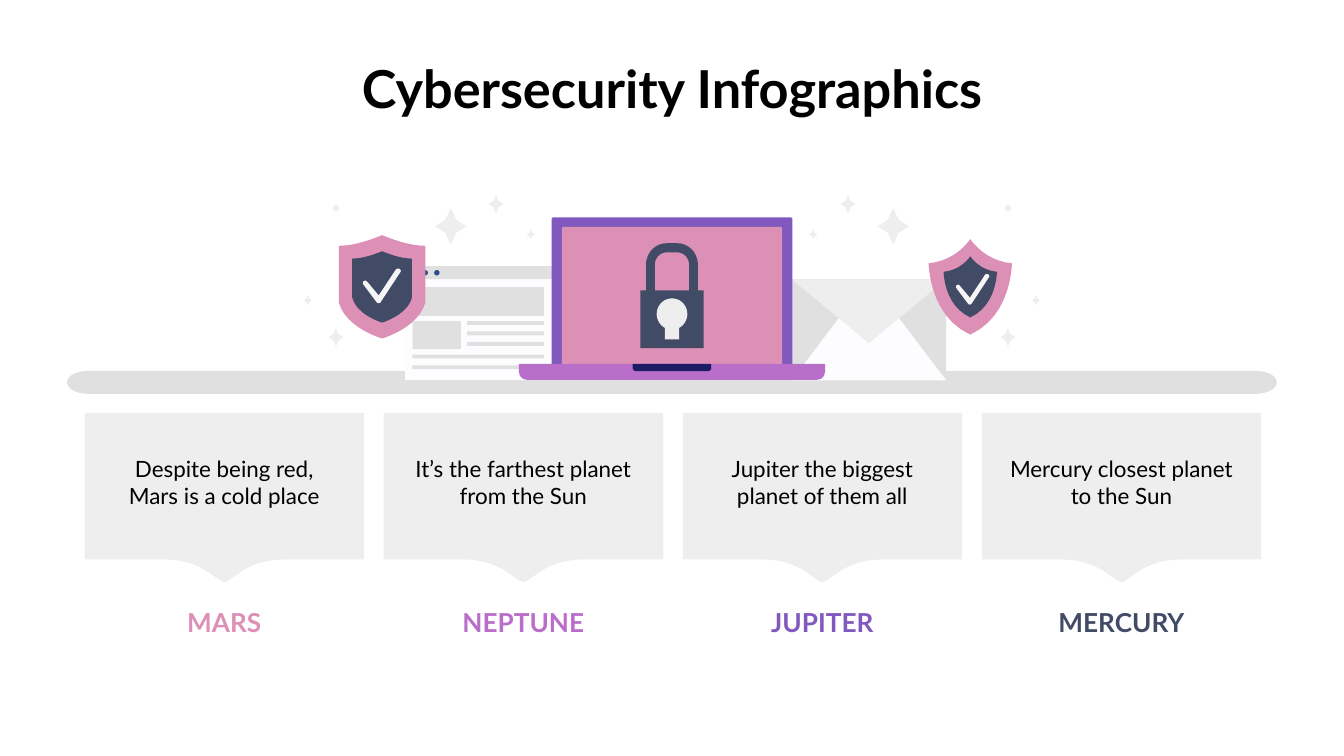
from pptx import Presentation
from pptx.dml.color import RGBColor
from pptx.enum import shapes, text
from pptx.util import Pt

FONT = "Lato"
TITLE = "Cybersecurity Infographics"
COLORS = {
    "black": "000000", "pink": "DD90B6", "orchid": "B96FC9", "purple": "8058BE",
    "slate": "424B66", "navy": "1C1C66", "blue": "2D4C8A", "gray": "E0E0E0",
    "light": "EEEEEE", "paper": "FDFDFF", "tick": "F6F6F6",
}
PLANETS = [
    ("MARS", "Despite being red, Mars is a cold place", "pink"),
    ("NEPTUNE", "It’s the farthest planet from the Sun", "orchid"),
    ("JUPITER", "Jupiter the biggest planet of them all", "purple"),
    ("MERCURY", "Mercury closest planet to the Sun", "slate"),
]
# Sparkles come in pairs: distance from the middle, y, width, height
SPARKLES = [
    (75.6, 125.6, 4.5, 5.3), (94.3, 109.4, 8.2, 9.6), (118.5, 121.3, 16.8, 19.4),
    (180, 180.7, 8.2, 9.6), (195.1, 160.9, 4.5, 5.3), (180, 111.6, 4.5, 5.3),
]
MIDDLE = 360
FIRST_CARD, CARD_PITCH = 120.2, 160.2

# Outlines: a pair is a corner, six numbers are a Bezier curve.
# Halves run down the left side of a symmetric outline.
SHELF = [(0, 198.7), (-312.5, 198.7), (-319, 198.7, -324, 201.4, -324, 204.85),
         (-324, 208.3, -319, 211, -312.5, 211), (0, 211)]
CARD = [(0, 221.2), (-74.8, 221.2), (-74.8, 299.8), (-31.3, 299.8),
        (-23.5, 299.8, -15.5, 302, -9.5, 306), (-2.5, 310.8),
        (-1.2, 311.7, -0.6, 311.8, 0, 311.8)]
BROAD_SHIELD = [(0, -27.7), (-12, -22.7, -19, -22, -23.2, -22), (-23.2, 8.3),
                (-19.6, 22, 0, 27.7, 0, 27.7)]
POINTED_SHIELD = [(0, -25.6), (0, -25.6, -7.2, -14, -22.3, -12.6),
                  (-22.3, -12.6, -22.3, 15.5, 0, 25.6)]
CHECK = [(8.5, -9.4), (8, -9.4, 7.6, -9.2, 7.2, -8.6), (-1.8, 5), (-8, -2.4),
         (-8.4, -2.8, -8.7, -3, -9.1, -2.9), (-10.2, -2.8, -10.6, -1.6, -9.9, -0.7),
         (-3, 8.5), (-2.4, 9.4, -1.3, 9.4, -0.7, 8.5), (9.9, -7.6),
         (10.4, -8.5, 9.6, -9.4, 8.5, -9.4)]
LOCK = [(0, 130.3), (-2.9, 130.3), (-8.9, 130.3, -13.9, 135.4, -13.9, 141.8),
        (-13.9, 155.6), (-17, 155.6), (-17, 186.5), (0, 186.5)]
LOCK_OPENING = [(0, 135.2), (-2.9, 135.2), (-6.3, 135.2, -9.2, 138.2, -9.2, 141.8),
                (-9.2, 155.6), (0, 155.6)]
KEYHOLE = [(0, 159.9), (-4.5, 159.9, -8.2, 163.6, -8.2, 168.3),
           (-8.2, 171.4, -6.4, 174.3, -3.8, 175.7), (-3.8, 181.9), (0, 181.9)]

# Shield outline, centre, size of the inner shield, check offset and scale
SHIELDS = [
    (POINTED_SHIELD, (519.8, 153.7), 0.64, (1.4, 1.4), 0.88),
    (BROAD_SHIELD, (204.7, 153.7), 0.69, (0, -0.4), 1),
]

prs = Presentation()
prs.slide_width, prs.slide_height = Pt(720), Pt(405)
slide = prs.slides.add_slide(prs.slide_layouts[6])


def paint(shape, color):
    shape.shadow.inherit = False
    shape.fill.solid()
    shape.fill.fore_color.rgb = RGBColor.from_string(COLORS[color])
    shape.line.fill.background()


def preset(kind, left, top, width, height, color, *adjustments):
    shape = slide.shapes.add_shape(kind, Pt(left), Pt(top), Pt(width), Pt(height))
    for i, value in enumerate(adjustments):
        shape.adjustments[i] = value
    paint(shape, color)


def rect(*place_and_color):
    preset(shapes.MSO_SHAPE.RECTANGLE, *place_and_color)


def flatten(outline, steps=12):
    """Turn corners and Bezier curves into a list of points."""
    points = []
    for part in outline:
        if len(part) == 2:
            points.append(part)
            continue
        controls = [points[-1], part[:2], part[2:4], part[4:]]
        for step in range(1, steps + 1):
            t = step / steps
            weights = ((1 - t) ** 3, 3 * t * (1 - t) ** 2, 3 * t * t * (1 - t), t ** 3)
            points.append(tuple(sum(w * c[axis] for w, c in zip(weights, controls))
                                for axis in (0, 1)))
    return points


def mirrored(half):
    left = flatten(half)
    return left + [(-x, y) for x, y in left[-2:0:-1]]


def draw(color, *contours, at=(0, 0), scale=1):
    """Draw closed contours as one shape; a second contour cuts a hole."""
    placed = [[(Pt(at[0] + x * scale), Pt(at[1] + y * scale)) for x, y in contour]
              for contour in contours]
    builder = slide.shapes.build_freeform(*placed[0][0])
    for i, contour in enumerate(placed):
        if i:
            builder.move_to(*contour[0])
        builder.add_line_segments(contour[1:], close=True)
    paint(builder.convert_to_shape(), color)


def label(words, left, top, width, height, size, color, bold=False, side=14.4,
          anchor=text.MSO_ANCHOR.MIDDLE):
    frame = slide.shapes.add_textbox(Pt(left), Pt(top), Pt(width), Pt(height)).text_frame
    frame.word_wrap = True
    frame.vertical_anchor = anchor
    frame.margin_left = frame.margin_right = Pt(side)
    frame.margin_top = frame.margin_bottom = Pt(7.2)
    line = frame.paragraphs[0]
    line.text = words
    line.alignment = text.PP_ALIGN.CENTER
    line.font.name, line.font.size, line.font.bold = FONT, Pt(size), bold
    line.font.color.rgb = RGBColor.from_string(COLORS[color])


label(TITLE, 36, 23, 648, 45.4, 28, "black", True, 7.2, text.MSO_ANCHOR.TOP)
draw("gray", mirrored(SHELF), at=(MIDDLE, 0))

# Browser window
rect(217, 142.6, 79, 61, "paper")
rect(217, 142.6, 79, 7, "gray")
for i in range(3):
    preset(shapes.MSO_SHAPE.OVAL, 220.2 + 6.2 * i, 144.7, 2.9, 2.9, "blue")
rect(221, 153.8, 70.4, 15.4, "gray")
rect(221, 172, 26, 15, "gray")
for i in range(3):
    rect(250.2, 172 + 5.6 * i, 41.2, 2.1, "gray")
for i in range(2):
    rect(221, 190 + 5.7 * i, 70.4, 2, "gray")

# Envelope
rect(424.1, 149.6, 82.8, 54.2, "gray")
draw("paper", [(449.3, 170.6), (424.1, 203.8), (506.9, 203.8), (481.7, 170.6)])
draw("light", [(424.1, 149.6), (465.5, 183.8), (506.9, 149.6)])

for half, centre, inner, (dx, dy), check_scale in SHIELDS:
    shield = mirrored(half)
    draw("pink", shield, at=centre)
    draw("slate", shield, at=centre, scale=inner)
    draw("tick", flatten(CHECK), at=(centre[0] + dx, centre[1] + dy), scale=check_scale)

# Laptop
preset(shapes.MSO_SHAPE.ROUNDED_RECTANGLE, 295.5, 116.5, 129, 87, "purple", 0.01)
preset(shapes.MSO_SHAPE.ROUNDED_RECTANGLE, 301, 121.6, 118, 76.4, "pink", 0.01)
preset(shapes.MSO_SHAPE.ROUND_2_SAME_RECTANGLE, 278, 195, 164, 8.5, "orchid", 0, 0.5)
preset(shapes.MSO_SHAPE.ROUND_2_SAME_RECTANGLE, 339, 195, 42, 3.8, "navy", 0, 0.4)
draw("slate", mirrored(LOCK), mirrored(LOCK_OPENING), at=(MIDDLE, 0))
draw("light", mirrored(KEYHOLE), at=(MIDDLE, 0))

for distance, y, width, height in SPARKLES:
    for x in (MIDDLE - distance, MIDDLE + distance):
        preset(shapes.MSO_SHAPE.STAR_4_POINT, x - width / 2, y - height / 2,
               width, height, "light", 0.25)

for i, (planet, fact, color) in enumerate(PLANETS):
    centre = FIRST_CARD + CARD_PITCH * i
    draw("light", mirrored(CARD), at=(centre, 0))
    label(fact, centre - 75.6, 238.5, 151.2, 39.6, 12, "black")
    label(planet, centre - 75.6, 316, 151.2, 34, 14, color, True)

prs.save("out.pptx")
